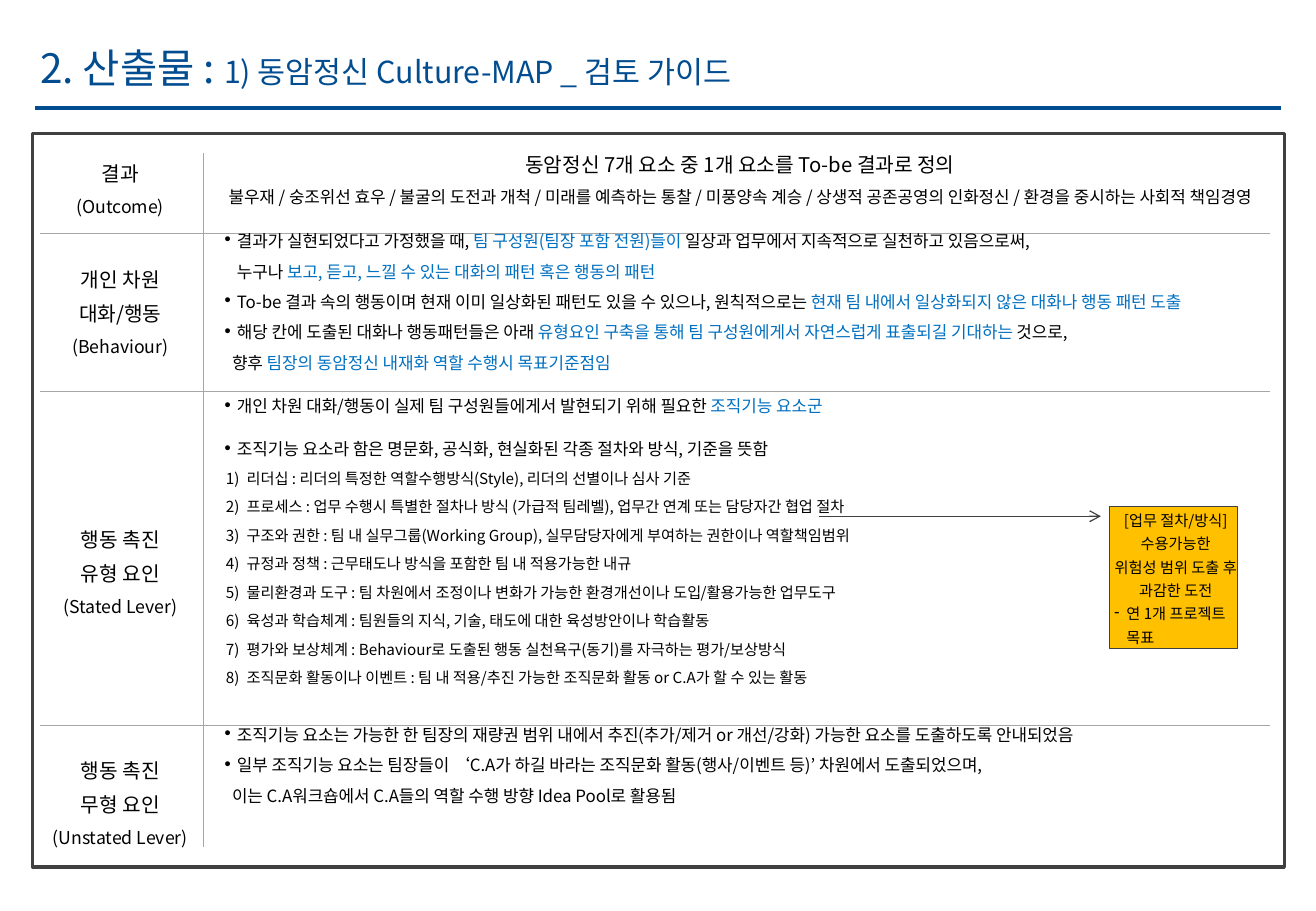
from itertools import cycle

from lxml import etree
from pptx import Presentation
from pptx import util as u
from pptx.dml.color import RGBColor
from pptx.enum import shapes, text
from pptx.oxml.ns import qn

PX = 9144
FONT = "Noto Sans CJK KR"
BLACK = RGBColor(0x00, 0x00, 0x00)
NAVY = RGBColor(0x02, 0x4C, 0x90)
BLUE = RGBColor(0x00, 0x70, 0xC0)
DARK = RGBColor(0x40, 0x40, 0x40)
GRAY = RGBColor(0xA6, 0xA6, 0xA6)
AMBER = RGBColor(0xFF, 0xC0, 0x00)

CENTER = text.PP_ALIGN.CENTER
TOP = text.MSO_ANCHOR.TOP
MIDDLE = text.MSO_ANCHOR.MIDDLE

BULLET = dict(bullet="∙", margin=12, hang=12)
NUMBER = dict(numbered=True, margin=20, hang=17, sizes=(9,))

LABELS = [
    (136, ["결과"], "(Outcome)"),
    (237, ["개인 차원", "대화/행동"], "(Behaviour)"),
    (451, ["행동 촉진", "유형 요인"], "(Stated Lever)"),
    (641, ["행동 촉진", "무형 요인"], "(Unstated Lever)"),
]

OUTCOME = [
    (["동암정신 7개 요소 중 1개 요소를 To-be 결과로 정의"], dict(sizes=(12,), align=CENTER)),
    (["불우재 / 숭조위선 효우 / 불굴의 도전과 개척 / 미래를 예측하는 통찰 / 미풍양속 계승 / "
      "상생적 공존공영의 인화정신 / 환경을 중시하는 사회적 책임경영"], dict(align=CENTER)),
]

BEHAVIOUR = [
    (["결과가 실현되었다고 가정했을 때, ", "팀 구성원(팀장 포함 전원)들이",
      " 일상과 업무에서 지속적으로 실천하고 있음으로써,"], BULLET),
    (["누구나 ", "보고, 듣고, 느낄 수 있는 대화의 패턴 혹은 행동의 패턴"], dict(margin=12)),
    (["To-be 결과 속의 행동이며 현재 이미 일상화된 패턴도 있을 수 있으나, 원칙적으로는 ",
      "현재 팀 내에서 일상화되지 않은 대화나 행동 패턴 도출"], BULLET),
    (["해당 칸에 도출된 대화나 행동패턴들은 아래 ",
      "유형요인 구축을 통해 팀 구성원에게서 자연스럽게 표출되길 기대하는 ", "것으로,"], BULLET),
    (["향후 ", "팀장의 동암정신 내재화 역할 수행시 목표기준점임"], dict(margin=8)),
]

FACTORS = [
    "리더십 : 리더의 특정한 역할수행방식(Style), 리더의 선별이나 심사 기준",
    "프로세스 : 업무 수행시 특별한 절차나 방식 (가급적 팀레벨), 업무간 연계 또는 담당자간 협업 절차",
    "구조와 권한 : 팀 내 실무그룹(Working Group), 실무담당자에게 부여하는 권한이나 역할책임범위",
    "규정과 정책 : 근무태도나 방식을 포함한 팀 내 적용가능한 내규",
    "물리환경과 도구 : 팀 차원에서 조정이나 변화가 가능한 환경개선이나 도입/활용가능한 업무도구",
    "육성과 학습체계 : 팀원들의 지식, 기술, 태도에 대한 육성방안이나 학습활동",
    "평가와 보상체계 : Behaviour로 도출된 행동 실천욕구(동기)를 자극하는 평가/보상방식",
    "조직문화 활동이나 이벤트 : 팀 내 적용/추진 가능한 조직문화 활동 or C.A가 할 수 있는 활동",
]

LEVERS = [
    (["개인 차원 대화/행동이 실제 팀 구성원들에게서 발현되기 위해 필요한 ", "조직기능 요소군"], BULLET),
    (["조직기능 요소라 함은 명문화, 공식화, 현실화된 각종 절차와 방식, 기준을 뜻함"],
     dict(BULLET, before=13.5)),
    *[([factor], NUMBER) for factor in FACTORS],
    (["조직기능 요소는 가능한 한 팀장의 재량권 범위 내에서 추진(추가/제거 or 개선/강화) "
      "가능한 요소를 도출하도록 안내되었음"], dict(BULLET, before=22.5)),
    (["일부 조직기능 요소는 팀장들이 ‘C.A가 하길 바라는 조직문화 활동(행사/이벤트 등)’ "
      "차원에서 도출되었으며,"], BULLET),
    (["이는 C.A워크숍에서 C.A들의 역할 수행 방향 Idea Pool로 활용됨"], dict(margin=8)),
]

NOTE = dict(sizes=(9,), before=3)
CHALLENGE = [
    *[([line], dict(NOTE, align=CENTER)) for line in
      ("[업무 절차/방식]", "수용가능한", "위험성 범위 도출 후", "과감한 도전")],
    (["연 1개 프로젝트"], dict(NOTE, bullet="-", margin=10, hang=10)),
    (["목표"], dict(NOTE, margin=10)),
]


def write(p, runs, sizes=(10,), colors=(BLACK, BLUE), align=text.PP_ALIGN.LEFT,
          before=6, margin=0, hang=0, bullet=None, numbered=False):
    """Fill a paragraph with runs, cycling through the given sizes and colours."""
    pPr = p._p.get_or_add_pPr()
    pPr.set("marL", str(margin * PX))
    pPr.set("indent", str(-hang * PX))
    if bullet:
        etree.SubElement(pPr, qn("a:buChar"), char=bullet)
    elif numbered:
        etree.SubElement(pPr, qn("a:buAutoNum"), type="arabicParenR")
    else:
        etree.SubElement(pPr, qn("a:buNone"))
    p.alignment = align
    p.space_before = u.Pt(before)
    for content, size, color in zip(runs, cycle(sizes), cycle(colors)):
        r = p.add_run()
        r.text = content
        r.font.size = u.Pt(size)
        r.font.name = FONT
        r.font.color.rgb = color
        etree.SubElement(r._r.get_or_add_rPr(), qn("a:ea"), typeface=FONT)


class Deck:
    """Hold the presentation, its current slide and the shared style."""

    def __init__(self, width, height):
        """Start a presentation with one blank slide."""
        self.prs = Presentation()
        self.prs.slide_width, self.prs.slide_height = width * PX, height * PX
        self.s = self.prs.slides.add_slide(self.prs.slide_layouts[6])

    def fill_text(self, sp, paragraphs, insets, anchor, wrap=True):
        """Lay out paragraphs in the frame of a shape."""
        tf = sp.text_frame
        tf.word_wrap = wrap
        tf.vertical_anchor = anchor
        tf.margin_left, tf.margin_top, tf.margin_right, tf.margin_bottom = (
            inset * PX for inset in insets)
        for i, (runs, fmt) in enumerate(paragraphs):
            p = tf.add_paragraph() if i else tf.paragraphs[0]
            write(p, runs, **(fmt if i else dict(fmt, before=0)))

    def textbox(self, box, paragraphs, insets=(6, 6, 6, 6), anchor=TOP):
        """Add a wrapping text box."""
        sp = self.s.shapes.add_textbox(*(v * PX for v in box))
        self.fill_text(sp, paragraphs, insets, anchor)

    def rect(self, box, weight, fill=None):
        """Add an outlined rectangle."""
        sp = self.s.shapes.add_shape(shapes.MSO_SHAPE.RECTANGLE, *(v * PX for v in box))
        sp.shadow.inherit = False
        sp.line.color.rgb = DARK
        sp.line.width = u.Pt(weight)
        if fill is None:
            sp.fill.background()
        else:
            sp.fill.solid()
            sp.fill.fore_color.rgb = fill
        return sp

    def line(self, x1, y1, x2, y2, color=GRAY, weight=0.25, arrow=False):
        """Add a straight line, with an optional arrowhead at its end."""
        sp = self.s.shapes.add_connector(
            shapes.MSO_CONNECTOR.STRAIGHT, *(v * PX for v in (x1, y1, x2, y2)))
        sp.line.color.rgb = color
        sp.line.width = u.Pt(weight)
        if arrow:
            etree.SubElement(sp.line._get_or_add_ln(), qn("a:tailEnd"), type="arrow")
        etree.SubElement(sp._element.spPr, qn("a:effectLst"))


def main():
    """Build the review guide slide."""
    deck = Deck(1083, 750)
    deck.line(29, 89, 1054, 89, NAVY, 2)
    deck.rect((27, 110, 1030, 604), 2)
    deck.line(167, 126, 167, 697)
    for y in (192, 322, 597):
        deck.line(33, y, 1045, y)

    for y, names, english in LABELS:
        rows = [([name], dict(sizes=(12,), align=CENTER)) for name in names]
        rows.append(([english], dict(sizes=(10.5,), align=CENTER)))
        deck.textbox((32, y, 134, 40), rows, (4, 5, 4, 5), MIDDLE)

    title = ["2. 산출물 : ", "1) 동암정신 Culture-MAP _ 검토 가이드"]
    deck.textbox((27, 29, 1024, 52), [(title, dict(sizes=(24, 18), colors=(NAVY,)))],
                 anchor=MIDDLE)
    deck.textbox((177, 119, 864, 65), OUTCOME)
    deck.textbox((177, 190, 864, 132), BEHAVIOUR, (6, 0, 6, 6))
    deck.textbox((177, 326, 864, 354), LEVERS, (6, 0, 6, 6))

    challenge = deck.rect((913, 417, 105, 117), 0.25, AMBER)
    deck.fill_text(challenge, CHALLENGE, (4, 4, 0, 4), TOP, wrap=False)
    deck.line(674, 425, 906, 425, DARK, 0.75, arrow=True)
    deck.prs.save("out.pptx")


if __name__ == "__main__":
    main()
